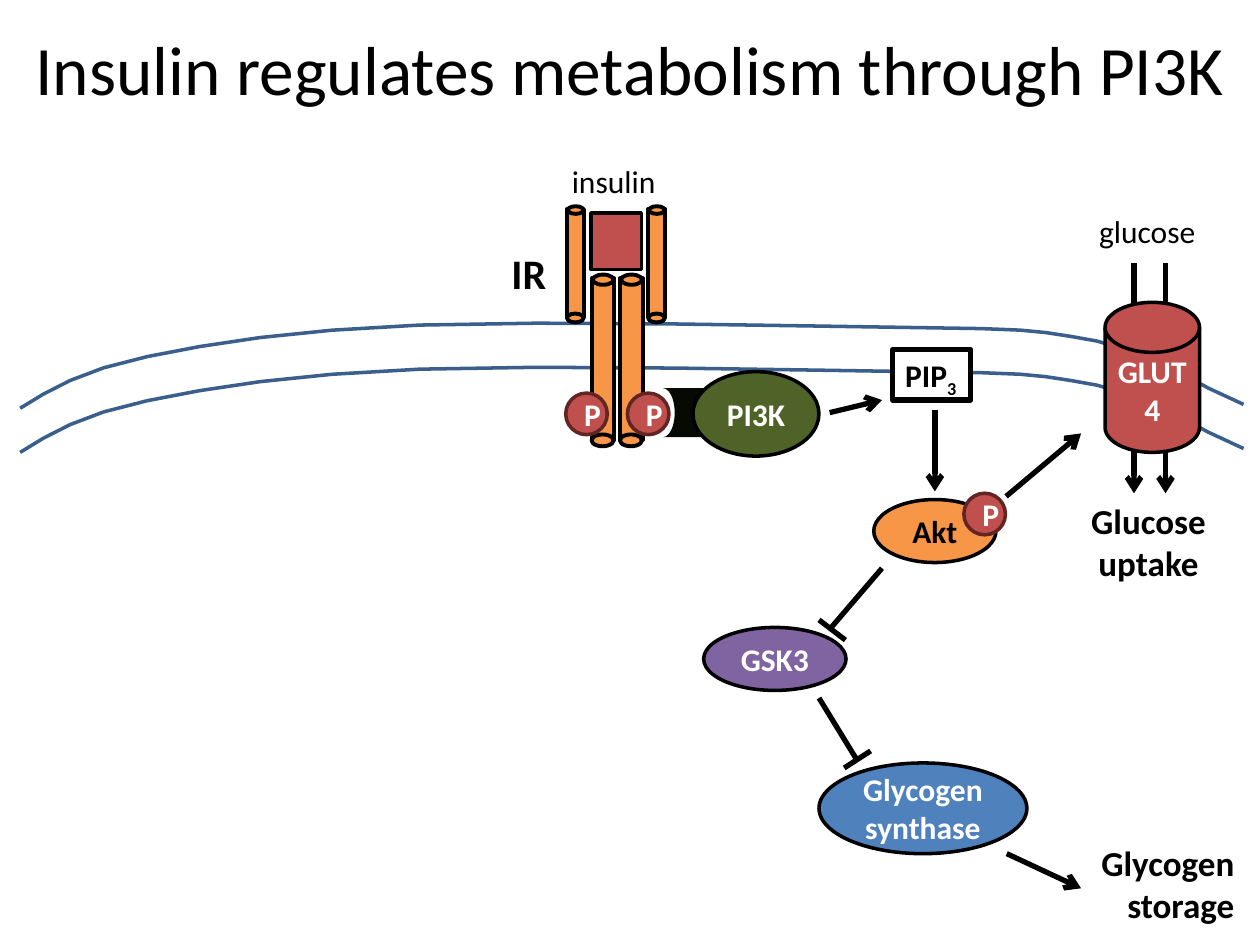
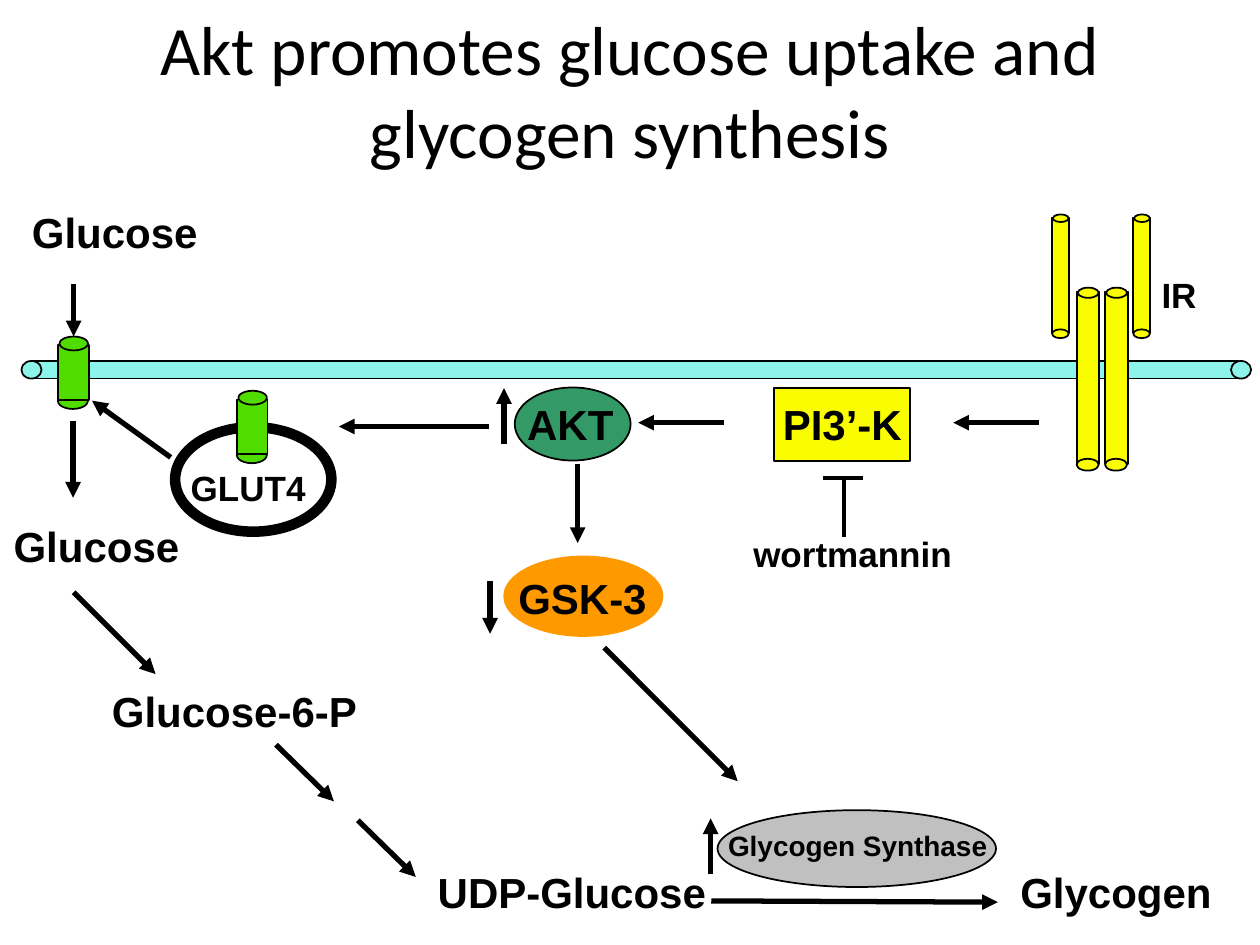
"""Build two slides on insulin signalling to glucose uptake and glycogen synthesis."""
import dataclasses
import functools
import typing

import lxml.etree
import pptx
import pptx.dml.color
import pptx.enum.shapes
import pptx.enum.text
import pptx.oxml.ns
import pptx.util

SHAPE = pptx.enum.shapes.MSO_SHAPE
ALIGN = pptx.enum.text.PP_ALIGN
ANCHOR = pptx.enum.text.MSO_ANCHOR
WIDTH, HEIGHT = pptx.util.Inches(10), pptx.util.Inches(7.5)
COLUMNS, ROWS = 100, 75
MEMBRANE_GAP = 3.5
CURVE_STEPS = 4


class TextStyle(typing.NamedTuple):
    """Type settings for one kind of text."""
    font: str
    size: float
    color: str = "000000"
    bold: bool = True
    align: ALIGN = ALIGN.LEFT


@dataclasses.dataclass(frozen=True)
class Theme:
    """Colours and type sizes of the deck."""
    black: str = "000000"
    white: str = "FFFFFF"
    red: str = "C0504D"
    dark_red: str = "632523"
    orange: str = "F79646"
    olive: str = "4F6228"
    dark_olive: str = "060A02"
    purple: str = "8064A2"
    blue: str = "4F81BD"
    membrane_blue: str = "3A5F8C"
    aqua: str = "8CF4EA"
    yellow: str = "FAFD00"
    green: str = "51DC00"
    teal: str = "339966"
    amber: str = "FF9900"
    grey: str = "C0C0C0"
    title: TextStyle = TextStyle("Calibri", 39.6, bold=False, align=ALIGN.CENTER)
    ligand: TextStyle = TextStyle("Calibri", 18, bold=False)
    receptor: TextStyle = TextStyle("Calibri", 24)
    protein: TextStyle = TextStyle("Calibri", 18, "FFFFFF", align=ALIGN.CENTER)
    dark_protein: TextStyle = TextStyle("Calibri", 18, align=ALIGN.CENTER)
    lipid: TextStyle = TextStyle("Calibri", 18)
    outcome: TextStyle = TextStyle("Calibri", 20, align=ALIGN.CENTER)
    end_outcome: TextStyle = TextStyle("Calibri", 20, align=ALIGN.RIGHT)
    large: TextStyle = TextStyle("Arial", 24)
    medium: TextStyle = TextStyle("Arial", 20)
    small: TextStyle = TextStyle("Arial", 16)


THEME = Theme()


class Box(typing.NamedTuple):
    """Place and size in grid columns and rows."""
    column: float
    row: float
    columns: float
    rows: float


class Point(typing.NamedTuple):
    """Place in grid columns and rows."""
    column: float
    row: float


@dataclasses.dataclass(frozen=True)
class Node:
    """Preset shape with optional text; a zero weight means no outline."""
    box: Box
    fill: str
    text: str = ""
    subscript: str = ""
    style: TextStyle = THEME.protein
    kind: SHAPE = SHAPE.OVAL
    line: str = THEME.black
    weight: float = 2
    wrap: bool = True
    rotation: float = 0
    anchor: ANCHOR = ANCHOR.MIDDLE


@dataclasses.dataclass(frozen=True)
class Label:
    """Free text."""
    box: Box
    text: str
    style: TextStyle
    wrap: bool = False
    anchor: ANCHOR = ANCHOR.TOP


@dataclasses.dataclass(frozen=True)
class Link:
    """Straight line with an optional arrowhead at its end."""
    start: Point
    end: Point
    head: str = ""
    weight: float = 3


@dataclasses.dataclass(frozen=True)
class Tube:
    """Upright cylinder whose caps scale with its width."""
    box: Box
    fill: str
    weight: float = 1
    lift: float = 0.17
    seam: bool = False


@dataclasses.dataclass(frozen=True)
class Curve:
    """Chain of cubic arcs that ends in a straight line."""
    points: tuple[Point, ...]
    tip: Point
    drop: float = 0


@dataclasses.dataclass(frozen=True)
class Cluster:
    """Items that form one group."""
    items: tuple[object, ...]


def across(columns: float) -> int:
    """Convert columns to a length."""
    return round(WIDTH * columns / COLUMNS)


def down(rows: float) -> int:
    """Convert rows to a length."""
    return round(HEIGHT * rows / ROWS)


def frame(box: Box) -> tuple[int, int, int, int]:
    """Convert a grid box to left, top, width and height."""
    return across(box.column), down(box.row), across(box.columns), down(box.rows)


def rgb(color: str) -> pptx.dml.color.RGBColor:
    """Convert a hexadecimal colour."""
    return pptx.dml.color.RGBColor.from_string(color)


def stroke(line: typing.Any, color: str, weight: float) -> None:
    """Set or remove a line."""
    if weight:
        line.color.rgb = rgb(color)
        line.width = pptx.util.Pt(weight)
    else:
        line.fill.background()


def write(shape: typing.Any, item: Node | Label, subscript: str = "") -> None:
    """Write an item's text into its shape and format the runs."""
    text_frame = shape.text_frame
    text_frame.text = item.text
    text_frame.word_wrap = item.wrap
    text_frame.vertical_anchor = item.anchor
    para = text_frame.paragraphs[0]
    para.alignment = item.style.align
    if subscript:
        span = para.add_run()
        span.text = subscript
        span.font._element.set("baseline", "-25000")
    for span in para.runs:
        span.font.name = item.style.font
        span.font.size = pptx.util.Pt(item.style.size)
        span.font.bold = item.style.bold
        span.font.color.rgb = rgb(item.style.color)


@functools.singledispatch
def draw(item: object, shapes: typing.Any) -> None:
    """Draw one item of a slide."""
    raise TypeError(f"cannot draw {item!r}")


@draw.register
def draw_node(item: Node, shapes: typing.Any) -> None:
    """Draw a preset shape."""
    shape = shapes.add_shape(item.kind, *frame(item.box))
    shape.shadow.inherit = False
    shape.rotation = item.rotation
    shape.fill.solid()
    shape.fill.fore_color.rgb = rgb(item.fill)
    stroke(shape.line, item.line, item.weight)
    if item.text:
        write(shape, item, item.subscript)


@draw.register
def draw_label(item: Label, shapes: typing.Any) -> None:
    """Draw free text."""
    write(shapes.add_textbox(*frame(item.box)), item)


@draw.register
def draw_link(item: Link, shapes: typing.Any) -> None:
    """Draw a line or an arrow."""
    ends = [length for point in (item.start, item.end)
            for length in (across(point.column), down(point.row))]
    connector = shapes.add_connector(pptx.enum.shapes.MSO_CONNECTOR.STRAIGHT, *ends)
    stroke(connector.line, THEME.black, item.weight)
    properties = connector._element.spPr
    if item.head:
        outline = properties.find(pptx.oxml.ns.qn("a:ln"))
        lxml.etree.SubElement(outline, pptx.oxml.ns.qn("a:tailEnd"), type=item.head)
    lxml.etree.SubElement(properties, pptx.oxml.ns.qn("a:effectLst"))


@draw.register
def draw_tube(item: Tube, shapes: typing.Any) -> None:
    """Draw a cylinder from a body and two caps."""
    column, row, width, height = item.box
    body = Node(item.box, item.fill, kind=SHAPE.RECTANGLE, weight=item.weight)
    base = Node(Box(column, row + height - 0.23 * width, 0.97 * width, 0.52 * width),
                item.fill, weight=item.weight)
    cap = Node(Box(column + 0.05 * width, row - item.lift * width, 0.92 * width, 0.45 * width),
               item.fill, weight=item.weight)
    for part in (base, body, cap) if item.seam else (body, cap, base):
        draw(part, shapes)


@draw.register
def draw_cluster(item: Cluster, shapes: typing.Any) -> None:
    """Draw items inside a group."""
    group = shapes.add_group_shape()
    for part in item.items:
        draw(part, group.shapes)


@draw.register
def draw_curve(item: Curve, shapes: typing.Any) -> None:
    """Draw a chain of cubic arcs as an open outline."""
    traced = [item.points[0]]
    for first in range(0, len(item.points) - 1, 3):
        for step in range(1, CURVE_STEPS + 1):
            t = step / CURVE_STEPS
            shares = ((1 - t) ** 3, 3 * t * (1 - t) ** 2, 3 * t ** 2 * (1 - t), t ** 3)
            traced.append(Point(*(sum(s * v for s, v in zip(shares, axis))
                                  for axis in zip(*item.points[first:first + 4]))))
    places = [(across(spot.column), down(spot.row + item.drop)) for spot in (*traced, item.tip)]
    builder = shapes.build_freeform(*places[0])
    builder.add_line_segments(places[1:], close=False)
    outline = builder.convert_to_shape()
    outline.shadow.inherit = False
    outline.fill.background()
    stroke(outline.line, THEME.membrane_blue, 2)


def title(text: str, box: Box) -> Label:
    """Describe a slide title."""
    return Label(box, text, THEME.title, wrap=True, anchor=ANCHOR.MIDDLE)


def link(head: str, *ends: float, weight: float = 3) -> Link:
    """Describe a line from its head and four end coordinates."""
    return Link(Point(*ends[:2]), Point(*ends[2:]), head, weight)


def phosphate(column: float, row: float) -> Node:
    """Describe a phosphate mark."""
    return Node(Box(column, row, 3.3, 3.3), THEME.red, "P",
                kind=SHAPE.FLOWCHART_CONNECTOR, line=THEME.dark_red)


def receptor(column: float, row: float, scale: float, fill: str, weight: float) -> Cluster:
    """Describe two inner and two outer receptor chains."""
    inner = (Tube(Box(column + shift, row + 5.5 * scale, 1.8, 12.8 * scale), fill, weight)
             for shift in (1.95, 4.2))
    outer = (Tube(Box(column + shift, row, 1.35, 8.6 * scale), fill, weight)
             for shift in (0, 6.45))
    return Cluster((*inner, *outer))


def pathway_items() -> list[object]:
    """Describe the slide on insulin and PI3K."""
    pointed, bar = functools.partial(link, "arrow"), functools.partial(link, "")
    membrane = tuple(Point(*pair) for pair in (
        (1.6, 32.4), (4, 30.9), (6.4, 29.4), (11.7, 28.3), (17, 27.2), (23.1, 26.2),
        (33.3, 25.8), (43.5, 25.4), (64.2, 25.9), (72.8, 26), (81.4, 26.1), (81.9, 26.2),
        (85, 26.7), (88.1, 27.1), (89.6, 27.9), (91.4, 28.6), (93.2, 29.3), (95.9, 30.8),
        (95.9, 30.8)))
    return [
        *(pointed(column, 20.9, column, 39.15) for column in (92.5, 90)),
        title("Insulin regulates metabolism through PI3K", Box(0, -0.85, 100, 12.5)),
        *(Curve(membrane, Point(98.7, 32.1), drop) for drop in (MEMBRANE_GAP, 0)),
        Label(Box(39.6, 19.15, 4.8, 5), "IR", THEME.receptor),
        Node(Box(46.9, 16.9, 4, 4.5), THEME.red, kind=SHAPE.RECTANGLE),
        Label(Box(44.4, 12.35, 8.7, 4), "insulin", THEME.ligand),
        Node(Box(52.6, 30.8, 5.7, 3.9), THEME.dark_olive,
             kind=SHAPE.FLOWCHART_STORED_DATA, weight=0, rotation=180),
        Node(Box(55, 29.5, 10, 6.7), THEME.olive, "PI3K"),
        Node(Box(70.85, 27.75, 6.2, 4), THEME.white, "PIP", "3", THEME.lipid,
             SHAPE.RECTANGLE, weight=3, wrap=False, anchor=ANCHOR.TOP),
        pointed(65.85, 32.75, 70, 31.75),
        pointed(74.2, 32.5, 74.2, 39),
        Node(Box(69.35, 39.65, 9.7, 5), THEME.orange, "Akt", style=THEME.dark_protein),
        phosphate(76.5, 39.15),
        pointed(79.85, 39.4, 85.8, 34.4),
        Node(Box(87.7, 24, 7.5, 11.9), THEME.red, "GLUT4", kind=SHAPE.FLOWCHART_MAGNETIC_DISK),
        Label(Box(86.25, 16.3, 9.7, 4), "glucose", THEME.ligand),
        receptor(45, 16.6, 1, THEME.orange, 2.25),
        *(phosphate(column, 31.2) for column in (44.9, 49.8)),
        Label(Box(84.7, 39.15, 12.9, 7.7), "Glucose uptake", THEME.outcome, wrap=True),
        bar(70, 45.1, 65.8, 50),
        Node(Box(55.85, 49.8, 11.3, 5), THEME.purple, "GSK3"),
        bar(65, 55.4, 68, 60.3),
        Node(Box(65, 60.55, 16.5, 7.2), THEME.blue, "Glycogen synthase"),
        Label(Box(81.75, 66.3, 17.2, 7.7), "Glycogen storage", THEME.end_outcome, wrap=True),
        pointed(79.9, 67.75, 85.8, 70.5),
        bar(65, 49.2, 67.1, 50.8),
        bar(67, 60.95, 69.1, 59.6),
    ]


def synthesis_items() -> list[object]:
    """Describe the slide on Akt and glycogen synthesis."""
    pointed, bar = functools.partial(link, "triangle"), functools.partial(link, "", weight=2)
    thin = functools.partial(Node, weight=1)
    transporter = functools.partial(Tube, fill=THEME.green, lift=0.28, seam=True)
    return [
        title("Akt promotes glucose uptake and glycogen synthesis", Box(5, 0.8, 90, 12.5)),
        Label(Box(0.1, 40.8, 15.3, 5), "Glucose", THEME.large),
        Cluster((Node(Box(13.9, 33.9, 12.4, 8.3), THEME.white, weight=6),
                 transporter(Box(18.8, 31.7, 2.45, 4.35)),
                 Label(Box(14.15, 36.5, 11.2, 4.3), "GLUT4", THEME.medium))),
        Cluster((thin(Box(2.5, 28.65, 95.8, 1.4), THEME.aqua, kind=SHAPE.RECTANGLE),
                 *(thin(Box(column, 28.65, 1.6, 1.4), THEME.aqua) for column in (1.7, 97.7)))),
        receptor(83.5, 17.25, 1.07, THEME.yellow, 1),
        Cluster((transporter(Box(4.6, 27.4, 2.45, 4.35)),)),
        Label(Box(7.9, 53.9, 21.6, 5), "Glucose-6-P", THEME.large),
        thin(Box(40.85, 30.75, 9.2, 5.8), THEME.teal),
        Label(Box(40.85, 31.15, 10.8, 5), "AKT", THEME.large, wrap=True),
        Label(Box(91.2, 21.25, 4.8, 4.3), "IR", THEME.medium),
        thin(Box(56.95, 64.3, 22.1, 6.1), THEME.grey),
        Label(Box(33.75, 68.3, 23.5, 5), "UDP-Glucose", THEME.large),
        pointed(5.85, 22.5, 5.85, 26.7),
        pointed(13.55, 36.3, 7.3, 31.8),
        pointed(38.8, 33.85, 26.9, 33.85),
        Node(Box(39.95, 44.1, 12.7, 6.45), THEME.amber, weight=0),
        Label(Box(40.15, 44.95, 12.5, 5), "GSK-3", THEME.large, wrap=True),
        pointed(38.9, 46.1, 38.9, 50.3),
        pointed(5.85, 47, 12.35, 53.5),
        pointed(40, 35.25, 40, 30.8),
        pointed(45.85, 36.8, 45.85, 43.1),
        *(pointed(column, 33.55, column - 6.8, 33.55) for column in (82.45, 57.45)),
        Cluster(tuple(pointed(column, row, column + 4.6, row + 4.5)
                      for column, row in ((21.9, 59.1), (28.4, 65.1)))),
        pointed(56.4, 69.4, 56.4, 64.95),
        pointed(56.45, 71.5, 79.2, 71.6),
        Label(Box(56.8, 65.3, 22.8, 3.7), "Glycogen Synthase", THEME.small),
        Label(Box(80, 68.3, 17.3, 5), "Glycogen", THEME.large),
        Cluster((thin(Box(61.45, 30.8, 10.8, 5.8), THEME.yellow, kind=SHAPE.RECTANGLE),
                 Label(Box(61.15, 31.15, 13, 5), "PI3’-K", THEME.large, wrap=True))),
        pointed(5.8, 33.4, 5.8, 39.5),
        pointed(47.95, 51.4, 58.55, 62),
        Label(Box(1.55, 15.9, 15.3, 5), "Glucose", THEME.large),
        bar(67, 37.8, 67, 42.6),
        bar(65.3, 37.95, 68.5, 37.95),
        Label(Box(58.8, 41.8, 17.9, 4.4), "wortmannin", THEME.medium),
    ]


def main() -> None:
    """Build and save the deck."""
    deck = pptx.Presentation()
    deck.slide_width, deck.slide_height = WIDTH, HEIGHT
    for items in (pathway_items(), synthesis_items()):
        page = deck.slides.add_slide(deck.slide_layouts[6])
        for item in items:
            draw(item, page.shapes)
    deck.save("out.pptx")


if __name__ == "__main__":
    main()
